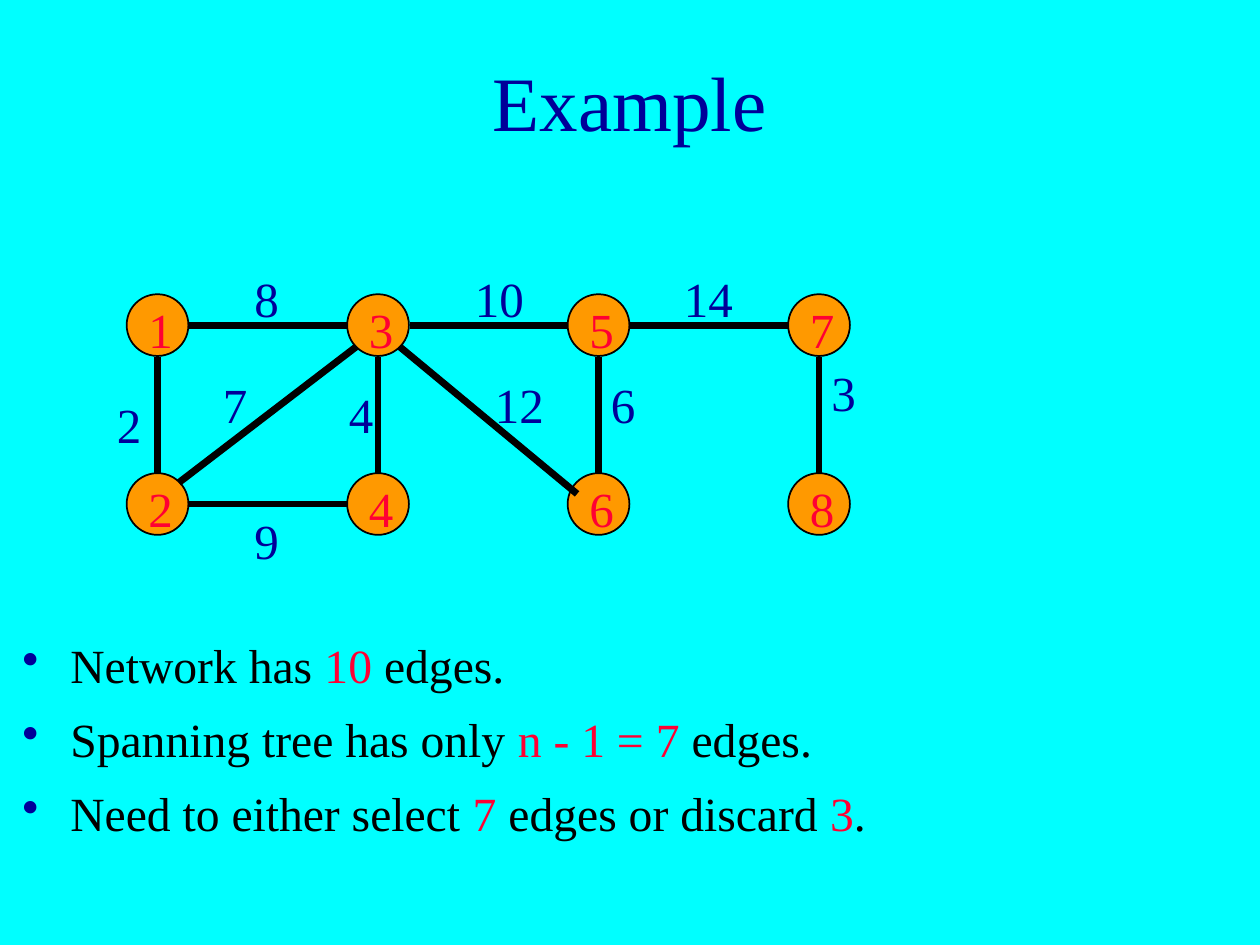
from dataclasses import dataclass

from lxml import etree
from pptx import Presentation
from pptx.dml.color import RGBColor
from pptx.enum.shapes import MSO_CONNECTOR, MSO_SHAPE
from pptx.enum.text import MSO_ANCHOR, PP_ALIGN
from pptx.oxml.ns import qn
from pptx.util import Inches, Pt

OVAL, STRAIGHT = MSO_SHAPE.OVAL, MSO_CONNECTOR.STRAIGHT
MIDDLE, TOP = MSO_ANCHOR.MIDDLE, MSO_ANCHOR.TOP
CENTER, LEFT = PP_ALIGN.CENTER, PP_ALIGN.LEFT
CYAN = RGBColor(0x00, 0xFF, 0xFF)
NAVY = RGBColor(0x00, 0x00, 0x99)
RED = RGBColor(0xFF, 0x00, 0x33)
ORANGE = RGBColor(0xFF, 0x99, 0x00)
BLACK = RGBColor(0x00, 0x00, 0x00)
FONT = "Times New Roman"

COLUMNS = [1.25 + 1.75 * i for i in range(4)]
ROWS = [2.58, 4.0]
DIAMETER = 0.49
STRAIGHT_GAP, DIAGONAL_GAP = 0.25, 0.17


@dataclass(frozen=True)
class Edge:
    """A weighted edge, with the place of its weight label."""
    start: int
    end: int
    weight: int
    left: float
    top: float
    width: float = 0.33
    end_dy: float = 0


EDGES = [
    Edge(1, 2, 2, 0.83, 3.08),
    Edge(3, 4, 4, 2.67, 3.0),
    Edge(5, 6, 6, 4.75, 2.92),
    Edge(7, 8, 3, 6.5, 2.83),
    Edge(1, 3, 8, 1.92, 2.08),
    Edge(3, 5, 10, 3.67, 2.08, 0.75),
    Edge(5, 7, 14, 5.33, 2.08, 0.83),
    Edge(2, 4, 9, 1.92, 4.0),
    Edge(2, 3, 7, 1.67, 2.92),
    Edge(3, 6, 12, 3.83, 2.92, 0.83, end_dy=0.09),
]

BULLETS = [
    [("Network has ", BLACK), ("10 ", RED), ("edges.", BLACK)],
    [("Spanning tree has only ", BLACK), ("n - 1 = 7", RED), (" edges.", BLACK)],
    [("Need to either select ", BLACK), ("7 ", RED),
     ("edges or discard ", BLACK), ("3", RED), (".", BLACK)],
]


def add_run(p, text: str, size: float, color: RGBColor) -> None:
    """Append one formatted run to a paragraph."""
    r = p.add_run()
    r.text = text
    for name, value in {"name": FONT, "size": Pt(size)}.items():
        setattr(r.font, name, value)
    r.font.color.rgb = color


def add_box(s, left: float, top: float, width: float, height: float, anchor=TOP):
    """Add an empty wrapping text box and return its text frame."""
    tf = s.shapes.add_textbox(
        Inches(left), Inches(top), Inches(width), Inches(height)).text_frame
    for name, value in {"word_wrap": True, "vertical_anchor": anchor}.items():
        setattr(tf, name, value)
    return tf


def add_label(s, text: str, left: float, top: float, width: float, height: float,
              size: float, color: RGBColor, anchor=TOP, align=LEFT) -> None:
    """Add a text box holding a single run."""
    p = add_box(s, left, top, width, height, anchor).paragraphs[0]
    p.alignment = align
    add_run(p, text, size, color)


def center(node: int) -> tuple[float, float]:
    """Return the centre of a node; numbers run down each column."""
    column, row = divmod(node - 1, 2)
    return COLUMNS[column], ROWS[row]


def add_node(s, node: int) -> None:
    """Draw a numbered circle."""
    x, y = center(node)
    sp = s.shapes.add_shape(OVAL, Inches(x - DIAMETER / 2), Inches(y - DIAMETER / 2),
                            Inches(DIAMETER), Inches(DIAMETER))
    sp.shadow.inherit = False
    sp.fill.solid()
    sp.fill.fore_color.rgb = ORANGE
    sp.line.color.rgb = BLACK
    sp.line.width = Pt(1)
    add_label(s, str(node), x - 0.17, y - 0.25, 0.25, 0.57, 28, RED)


def add_edge(s, edge: Edge) -> None:
    """Draw an edge between the rims of its nodes."""
    (x1, y1), (x2, y2) = center(edge.start), center(edge.end)
    gap = DIAGONAL_GAP if x1 != x2 and y1 != y2 else STRAIGHT_GAP
    dx = gap * ((x2 > x1) - (x2 < x1))
    dy = gap * ((y2 > y1) - (y2 < y1))
    line = s.shapes.add_connector(
        STRAIGHT, Inches(x1 + dx), Inches(y1 + dy),
        Inches(x2 - dx), Inches(y2 - dy + edge.end_dy))
    line.line.color.rgb = BLACK
    line.line.width = Pt(4)
    etree.SubElement(line._element.spPr, qn("a:effectLst"))


def add_bullets(s) -> None:
    """Write the bulleted conclusions."""
    tf = add_box(s, 0.08, 5, 8.5, 1.75)
    for i, runs in enumerate(BULLETS):
        p = tf.add_paragraph() if i else tf.paragraphs[0]
        p.space_before = Pt(9.6)
        pPr = p._p.get_or_add_pPr()
        pPr.set("marL", str(Inches(0.38)))
        pPr.set("indent", str(Inches(-0.38)))
        color = etree.SubElement(pPr, qn("a:buClr"))
        etree.SubElement(color, qn("a:srgbClr"), val=str(NAVY))
        etree.SubElement(pPr, qn("a:buChar"), char="•")
        for text, run_color in runs:
            add_run(p, text, 27.2, run_color)


def main() -> None:
    """Build and save the slide."""
    prs = Presentation()
    prs.slide_width, prs.slide_height = Inches(10), Inches(7.5)
    s = prs.slides.add_slide(prs.slide_layouts[6])
    s.background.fill.solid()
    s.background.fill.fore_color.rgb = CYAN
    add_label(s, "Example", 0.75, 0.17, 8.5, 1.25, 44, NAVY, MIDDLE, CENTER)
    add_bullets(s)
    for node in range(1, len(COLUMNS) * len(ROWS) + 1):
        add_node(s, node)
    for edge in EDGES:
        add_edge(s, edge)
    for edge in EDGES:
        add_label(s, str(edge.weight), edge.left, edge.top, edge.width, 0.57, 28, NAVY)
    prs.save("out.pptx")


main()
